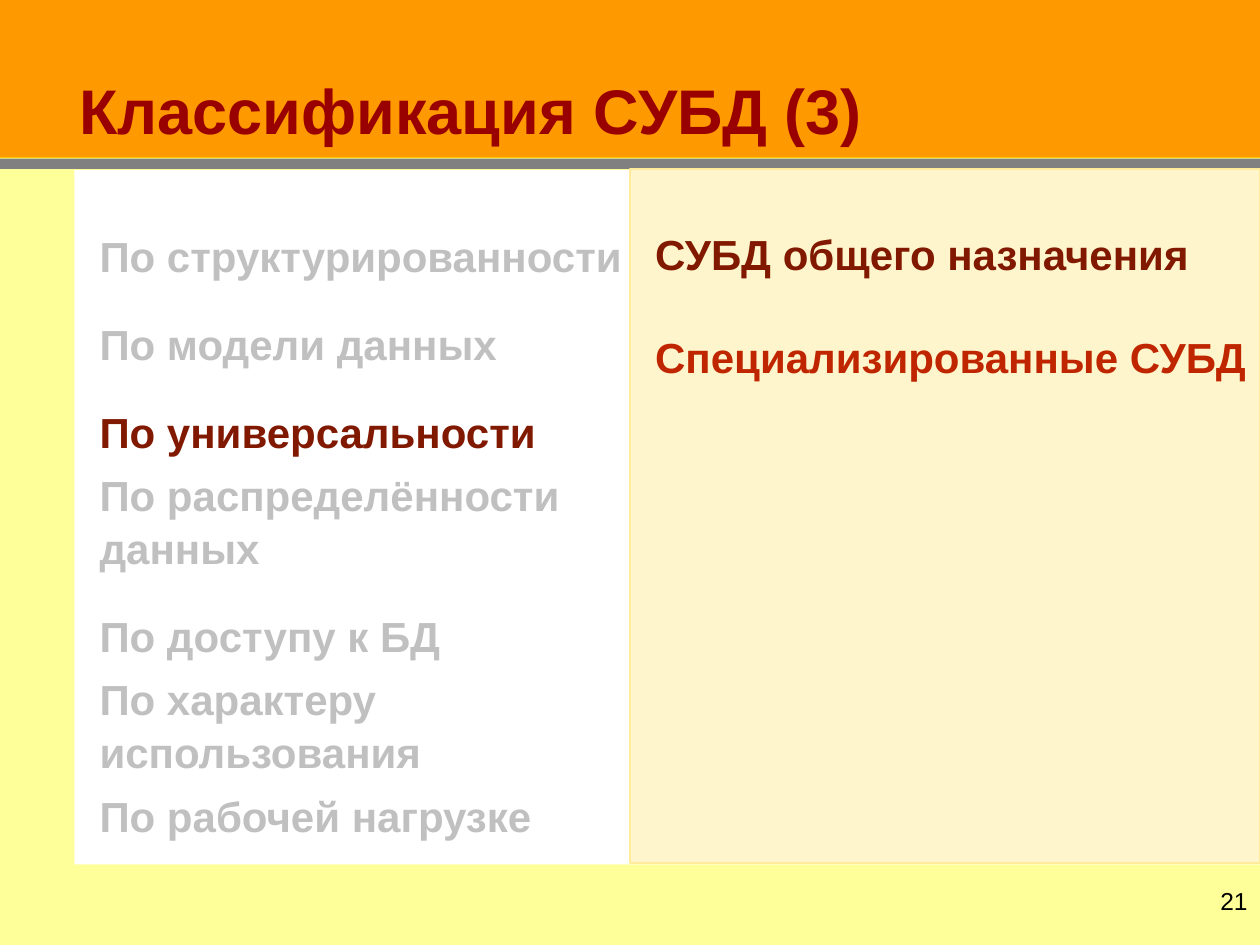
from lxml import etree
from pptx import Presentation
from pptx.dml.color import RGBColor
from pptx.enum.shapes import MSO_CONNECTOR, MSO_SHAPE
from pptx.enum.text import MSO_ANCHOR, MSO_AUTO_SIZE, PP_ALIGN
from pptx.oxml.ns import qn
from pptx.util import Inches, Pt

RECT = MSO_SHAPE.RECTANGLE
STRAIGHT = MSO_CONNECTOR.STRAIGHT
TOP, BOTTOM = MSO_ANCHOR.TOP, MSO_ANCHOR.BOTTOM
LEFT, RIGHT = PP_ALIGN.LEFT, PP_ALIGN.RIGHT
NO_AUTOFIT = MSO_AUTO_SIZE.NONE

WIDTH, HEIGHT = 10, 7.5
HEADER_H = 1.25
PANEL_TOP, PANEL_H = 1.35, 5.51
GREY, BROWN, RED = "C0C0C0", "801900", "BF2600"

# text, colour, space before in points
CRITERIA = [
    ("По структурированности", GREY, 0),
    ("По модели данных", GREY, 20),
    ("По универсальности", BROWN, 20),
    ("По распределённости\vданных", GREY, 6),
    ("По доступу к БД", GREY, 20),
    ("По характеру\vиспользования", GREY, 6),
    ("По рабочей нагрузке", GREY, 6),
]
KINDS = [
    ("СУБД общего назначения", BROWN, 0),
    ("Специализированные СУБД", RED, 29),
]


def rgb(color):
    return RGBColor.from_string(color)


def place(sp, x, y, w, h):
    sp.left, sp.top, sp.width, sp.height = map(Inches, (x, y, w, h))


def add_rect(s, x, y, w, h, fill, line=None):
    sp = s.shapes.add_shape(RECT, *map(Inches, (x, y, w, h)))
    sp.shadow.inherit = False
    sp.fill.solid()
    sp.fill.fore_color.rgb = rgb(fill)
    if line:
        sp.line.color.rgb = rgb(line)
        sp.line.width = Pt(1)
    else:
        sp.line.fill.background()
    return sp


def add_rule(s, y, color):
    line = s.shapes.add_connector(
        STRAIGHT, 0, Inches(y), Inches(WIDTH), Inches(y))
    line.line.color.rgb = rgb(color)
    line.line.width = Pt(1)
    etree.SubElement(line._element.spPr, qn("a:effectLst"))


def format_paragraph(p, size, color, bold=True, align=LEFT):
    p.alignment = align
    for r in p.runs:
        r.font.name = "Arial"
        r.font.size = Pt(size)
        r.font.bold = bold
        r.font.color.rgb = rgb(color)


def fill_panel(sp, items, top_inset):
    tf = sp.text_frame
    tf.word_wrap = True
    tf.vertical_anchor = TOP
    tf.margin_left, tf.margin_right = Inches(0.2), Inches(0.05)
    tf.margin_top = Inches(top_inset)
    tf.text = "\n".join(text for text, _, _ in items)
    for p, (_, color, before) in zip(tf.paragraphs, items):
        p.line_spacing = 1.05
        p.space_before = Pt(before)
        format_paragraph(p, 24, color)


def set_title(s, text):
    title = s.shapes.title
    place(title, 0, 0.06, WIDTH, 1.17)
    title.fill.solid()
    title.fill.fore_color.rgb = rgb("FF9900")
    tf = title.text_frame
    tf.auto_size = NO_AUTOFIT
    tf.vertical_anchor = BOTTOM
    tf.margin_left = Inches(0.63)
    tf.text = text
    tf.paragraphs[0].line_spacing = 0.9
    format_paragraph(tf.paragraphs[0], 36, "990000")
    s.shapes._spTree.append(title._element)  # in front of the bands


def add_page_number(s, number):
    box = s.shapes.add_textbox(*map(Inches, (8.97, 6.98, 1.03, 0.52)))
    tf = box.text_frame
    tf.word_wrap = True
    tf.text = number
    format_paragraph(tf.paragraphs[0], 14, "000000", bold=False, align=RIGHT)


def main():
    prs = Presentation()
    prs.slide_width, prs.slide_height = Inches(WIDTH), Inches(HEIGHT)
    s = prs.slides.add_slide(prs.slide_layouts[5])
    s.background.fill.solid()
    s.background.fill.fore_color.rgb = rgb("B2B2B2")

    add_rect(s, 0, 0, WIDTH, HEADER_H, "FF9900")
    add_rect(s, 0, HEADER_H, WIDTH, HEIGHT - HEADER_H, "FFFF99")
    add_rect(s, 0, 1.26, WIDTH, 0.08, "808080")
    add_rule(s, HEADER_H, "FFCC00")
    set_title(s, "Классификация СУБД (3)")

    criteria = add_rect(s, 0.59, PANEL_TOP, WIDTH - 0.59, PANEL_H, "FFFFFF")
    fill_panel(criteria, CRITERIA, 0.46)
    add_page_number(s, "21")
    kinds = add_rect(s, WIDTH / 2, 1.34, WIDTH / 2, PANEL_H, "FFF5CC", "FFEB99")
    fill_panel(kinds, KINDS, 0.45)

    prs.save("out.pptx")


if __name__ == "__main__":
    main()
